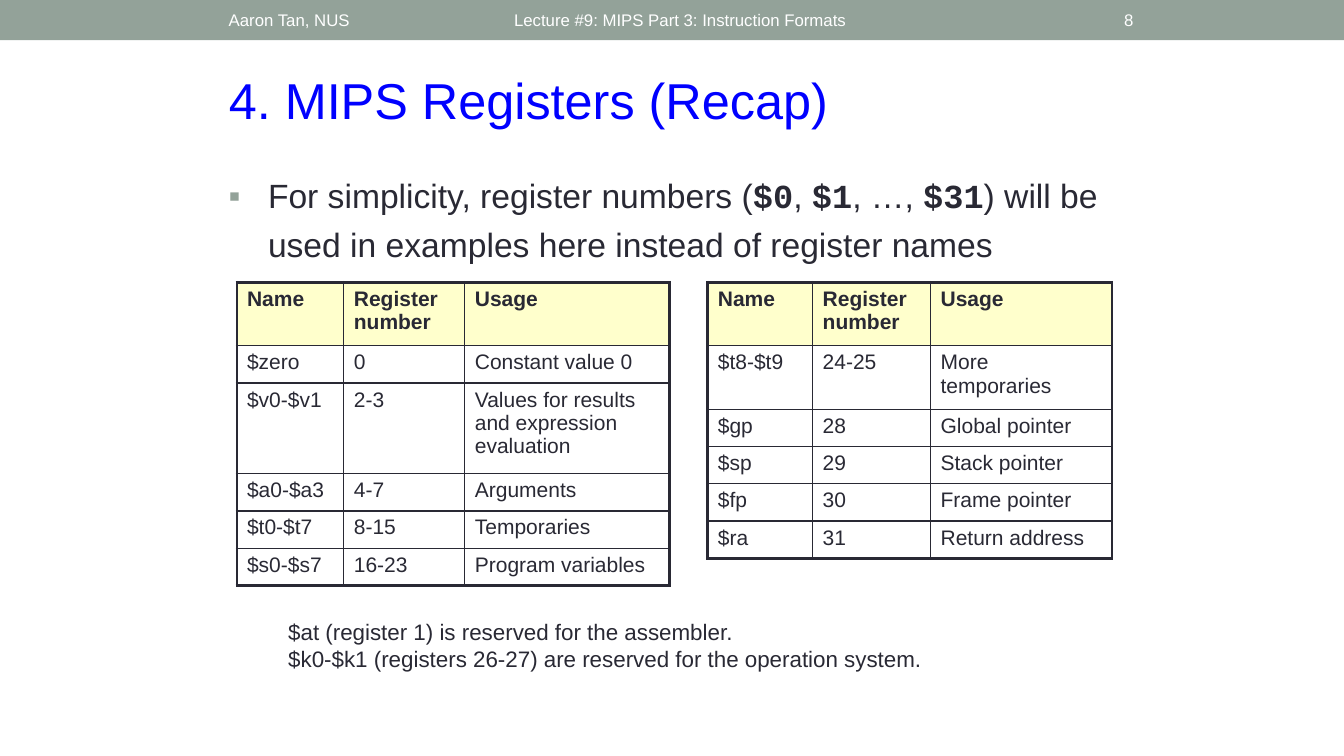
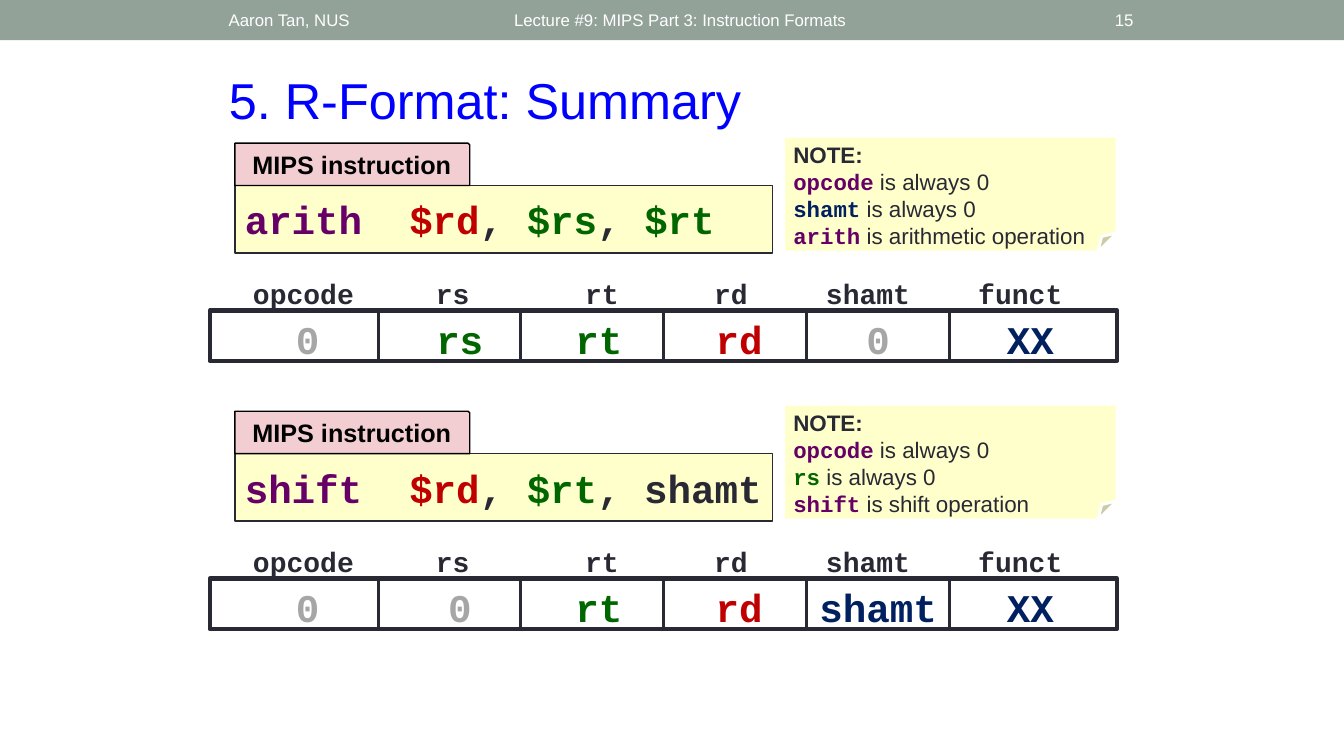
from pptx import Presentation
from pptx.dml.color import RGBColor
from pptx.enum.shapes import MSO_CONNECTOR, MSO_SHAPE
from pptx.enum.text import MSO_ANCHOR, MSO_AUTO_SIZE, PP_ALIGN
from pptx.oxml.ns import qn
from pptx.util import Inches, Pt
from lxml.etree import SubElement

SANS, MONO = "Arial", "Courier New"
INK, WHITE, BLACK, BAND, TITLE = "292934", "FFFFFF", "000000", "93A299", "0000FF"
CREAM, PINK = "FFFFCC", "F2CED2"
PURPLE, RED, GREEN, NAVY, GREY = "660066", "C00000", "006600", "002060", "A6A6A6"


def rgb(value):
    return RGBColor.from_string(value)


def box(left, top, width, height):
    return [Inches(length) for length in (left, top, width, height)]


def code(text, color=INK):
    return text, color, MONO, True


def plain(text, color=INK, bold=False):
    return text, color, SANS, bold


def write(paragraph, runs, size, align=PP_ALIGN.LEFT):
    paragraph.alignment = align
    for text, color, face, bold in runs:
        run = paragraph.add_run()
        run.text = text
        run.font.size = Pt(size)
        run.font.name = face
        run.font.bold = bold
        run.font.color.rgb = rgb(color)


def write_lines(frame, lines, size, align=PP_ALIGN.LEFT):
    for index, runs in enumerate(lines):
        paragraph = frame.add_paragraph() if index else frame.paragraphs[0]
        write(paragraph, runs, size, align)


def add_text(slide, place, lines, size, align=PP_ALIGN.LEFT,
             anchor=MSO_ANCHOR.TOP, wrap=True):
    frame = slide.shapes.add_textbox(*box(*place)).text_frame
    frame.word_wrap = wrap
    frame.vertical_anchor = anchor
    write_lines(frame, lines, size, align)
    return frame


def add_panel(slide, preset, place, fill=None, line=None, weight=1):
    panel = slide.shapes.add_shape(preset, *box(*place))
    panel.shadow.inherit = False
    if fill:
        panel.fill.solid()
        panel.fill.fore_color.rgb = rgb(fill)
    else:
        panel.fill.background()
    if line:
        panel.line.color.rgb = rgb(line)
        panel.line.width = Pt(weight)
    else:
        panel.line.fill.background()
    return panel


def add_titled_slide(deck, heading, number):
    """Add a slide with the top band, its three captions and the title."""
    slide = deck.slides.add_slide(deck.slide_layouts[5])
    add_panel(slide, MSO_SHAPE.RECTANGLE, (0, 0, 13.33, 0.4), BAND)
    for caption, left, width, align in (
            ("Lecture #9: MIPS Part 3: Instruction Formats", 5, 6, PP_ALIGN.LEFT),
            ("Aaron Tan, NUS", 2.17, 3.17, PP_ALIGN.LEFT),
            (str(number), 10.39, 0.95, PP_ALIGN.RIGHT)):
        add_text(slide, (left, 0.02, width, 0.36), [[plain(caption, WHITE)]],
                 12, align, MSO_ANCHOR.MIDDLE)
    title = slide.shapes.title
    title.left, title.top, title.width, title.height = box(2.17, 0.64, 9, 0.71)
    title.text_frame.auto_size = MSO_AUTO_SIZE.NONE
    title.text_frame.vertical_anchor = MSO_ANCHOR.TOP
    write(title.text_frame.paragraphs[0], [plain(heading, TITLE)], 36)
    return slide


def add_bullet(slide, place, runs, size):
    paragraph = add_text(slide, place, [], size).paragraphs[0]
    properties = paragraph._p.get_or_add_pPr()
    properties.set("marL", str(Inches(0.39)))
    properties.set("indent", str(-Inches(0.39)))
    bullet_color = SubElement(properties, qn("a:buClr"))
    SubElement(bullet_color, qn("a:srgbClr"), val=BAND)
    SubElement(properties, qn("a:buFont"), typeface=SANS)
    SubElement(properties, qn("a:buChar"), char="▪")
    paragraph.line_spacing = 1.2
    write(paragraph, runs, size)


def set_borders(cell, outer_sides):
    """Draw all four borders, the outer ones heavier."""
    properties = cell._tc.get_or_add_tcPr()
    for index, (side, outer) in enumerate(zip("LRTB", outer_sides)):
        border = properties.makeelement(
            qn(f"a:ln{side}"), {"w": str(Pt(2.25 if outer else 1))})
        fill = SubElement(border, qn("a:solidFill"))
        SubElement(fill, qn("a:srgbClr"), val=INK)
        properties.insert(index, border)


def add_register_table(slide, left, top, widths, heights, registers):
    rows = [("Name", "Register number", "Usage"), *registers]
    table = slide.shapes.add_table(
        len(rows), len(widths),
        *box(left, top, sum(widths), sum(heights))).table
    for column, width in zip(table.columns, widths):
        column.width = Inches(width)
    for row, height in zip(table.rows, heights):
        row.height = Inches(height)
    last_row, last_column = len(rows) - 1, len(widths) - 1
    for r, texts in enumerate(rows):
        for c, text in enumerate(texts):
            cell = table.cell(r, c)
            if r == 0:
                cell.fill.solid()
                cell.fill.fore_color.rgb = rgb(CREAM)
            else:
                cell.fill.background()
            set_borders(cell, (c == 0, c == last_column, r == 0, r == last_row))
            write(cell.text_frame.paragraphs[0], [plain(text, bold=r == 0)], 15)


def add_instruction(slide, left, top, runs):
    syntax = add_panel(slide, MSO_SHAPE.RECTANGLE,
                       (left, top + 0.42, 5.33, 0.67), CREAM, INK)
    syntax.text_frame.word_wrap = False
    syntax.text_frame.vertical_anchor = MSO_ANCHOR.MIDDLE
    write_lines(syntax.text_frame, [runs], 28)
    tab = add_panel(slide, MSO_SHAPE.SNIP_1_RECTANGLE,
                    (left, top, 2.33, 0.42), PINK, BLACK)
    tab.adjustments[0] = 0.04
    tab.text_frame.vertical_anchor = MSO_ANCHOR.MIDDLE
    write_lines(tab.text_frame, [[plain("MIPS instruction", BLACK, True)]],
                18, PP_ALIGN.CENTER)


def add_note(slide, left, top, facts):
    note = add_panel(slide, MSO_SHAPE.FOLDED_CORNER,
                     (left, top, 3.31, 1.15), CREAM, WHITE, 2.08)
    frame = note.text_frame
    frame.word_wrap = True
    frame.vertical_anchor = MSO_ANCHOR.TOP
    write(frame.paragraphs[0], [plain("NOTE:", bold=True)], 16)
    for term, color, meaning in facts:
        write(frame.add_paragraph(), [code(term, color), plain(meaning)],
              16, PP_ALIGN.JUSTIFY)


def add_fields(slide, left, top, values):
    """Draw the six-field word with labels above; top is the frame's edge."""
    def centred(text, color, middle, y, width, height, size):
        add_text(slide, (left + middle - width / 2, y, width, height),
                 [[code(text, color)]], size, PP_ALIGN.CENTER, wrap=False)

    for (value, color), middle in zip(values, (0.97, 2.48, 3.86, 5.25, 6.63, 8.14)):
        centred(value, color, middle, top, 1.38, 0.57, 28)
    add_panel(slide, MSO_SHAPE.RECTANGLE, (left, top, 9, 0.5), None, INK, 3)
    for index in range(5):
        x = Inches(left + 1.67 + index * 17 / 12)
        divider = slide.shapes.add_connector(
            MSO_CONNECTOR.STRAIGHT, x, Inches(top), x, Inches(top + 0.5))
        divider.line.color.rgb = rgb(INK)
        divider.line.width = Pt(2.25)
        SubElement(divider._element.spPr, qn("a:effectLst"))
    labels = ("opcode", "rs", "rt", "rd", "shamt", "funct")
    for label, middle in zip(labels, (0.93, 2.41, 3.89, 5.17, 6.53, 8.04)):
        centred(label, INK, middle, top - 0.39, 1.2, 0.43, 20)


def add_format(slide, left, top, instruction, facts, values):
    add_fields(slide, left, top + 1.73, values)
    add_instruction(slide, left + 0.25, top + 0.07, instruction)
    add_note(slide, left + 5.69, top, facts)


def build_registers(deck):
    slide = add_titled_slide(deck, "4. MIPS Registers (Recap)", 8)
    add_bullet(slide, (2.17, 1.61, 9, 1.18), [
        plain("For simplicity, register numbers ("), code("$0"), plain(", "),
        code("$1"), plain(", …, "), code("$31"),
        plain(") will be used in examples here instead of register names")], 24)
    add_register_table(
        slide, 2.35, 2.8, (1.06, 1.2, 2.03), (0.63, 0.37, 0.9, 0.37, 0.37, 0.37),
        [("$zero", "0", "Constant value 0"),
         ("$v0-$v1", "2-3", "Values for results and expression evaluation"),
         ("$a0-$a3", "4-7", "Arguments"),
         ("$t0-$t7", "8-15", "Temporaries"),
         ("$s0-$s7", "16-23", "Program variables")])
    add_register_table(
        slide, 7.02, 2.8, (1.04, 1.17, 1.8), (0.63, 0.63, 0.37, 0.37, 0.37, 0.37),
        [("$t8-$t9", "24-25", "More temporaries"),
         ("$gp", "28", "Global pointer"),
         ("$sp", "29", "Stack pointer"),
         ("$fp", "30", "Frame pointer"),
         ("$ra", "31", "Return address")])
    add_text(slide, (2.76, 6.08, 7.75, 0.64), [
        [plain("$at (register 1) is reserved for the assembler.")],
        [plain("$k0-$k1 (registers 26-27) are reserved for the operation system.")],
    ], 16)


def build_summary(deck):
    slide = add_titled_slide(deck, "5. R-Format: Summary", 15)
    zero, rs, rt = ("0", GREY), ("rs", GREEN), ("rt", GREEN)
    rd, shamt, funct = ("rd", RED), ("shamt", NAVY), ("XX", NAVY)
    always = " is always 0"
    add_format(
        slide, 2.08, 1.35,
        [code("arith  ", PURPLE), code("$rd", RED), code(", "),
         code("$rs", GREEN), code(", "), code("$rt", GREEN)],
        [("opcode", PURPLE, always), ("shamt", NAVY, always),
         ("arith", PURPLE, " is arithmetic operation")],
        [zero, rs, rt, rd, zero, funct])
    add_format(
        slide, 2.08, 4.01,
        [code("shift  ", PURPLE), code("$rd", RED), code(", "),
         code("$rt", GREEN), code(", shamt")],
        [("opcode", PURPLE, always), ("rs", GREEN, always),
         ("shift", PURPLE, " is shift operation")],
        [zero, zero, rt, rd, shamt, funct])


def main():
    deck = Presentation()
    deck.slide_width, deck.slide_height = Inches(13.33), Inches(7.5)
    build_registers(deck)
    build_summary(deck)
    deck.save("out.pptx")


if __name__ == "__main__":
    main()
